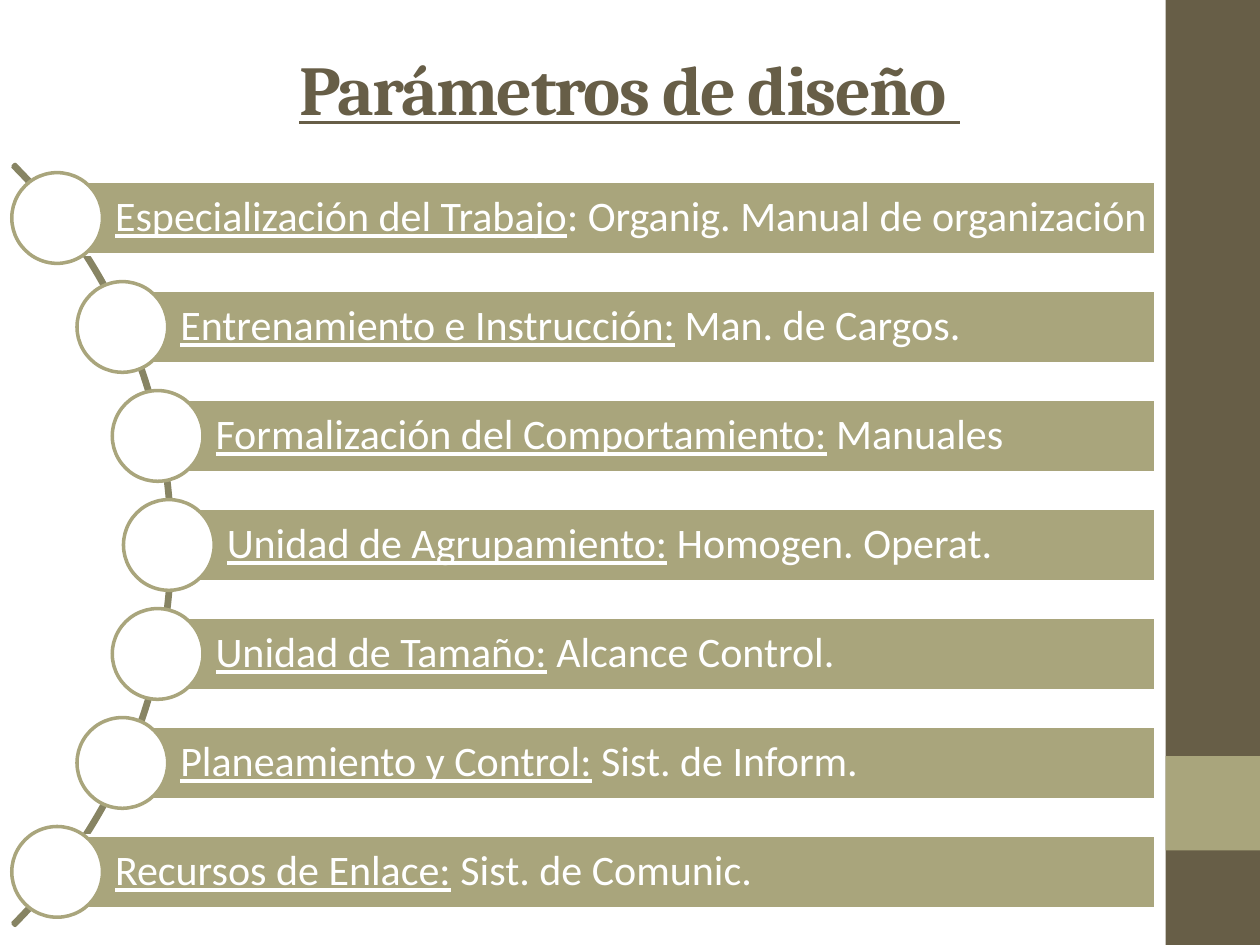
from math import sqrt

from pptx import Presentation
from pptx.dml.color import RGBColor
from pptx.enum import shapes, text
from pptx.util import Inches, Pt

DARK, SAGE, OLIVE, WHITE = "675E47", "A9A57C", "878463", "FFFFFF"
KIND = shapes.MSO_SHAPE
ITEMS = [
    ("Especialización del Trabajo", ": Organig. Manual de organización"),
    ("Entrenamiento e Instrucción:", " Man. de Cargos."),
    ("Formalización del Comportamiento:", " Manuales"),
    ("Unidad de Agrupamiento:", " Homogen. Operat."),
    ("Unidad de Tamaño:", " Alcance Control."),
    ("Planeamiento y Control:", " Sist. de Inform."),
    ("Recursos de Enlace:", " Sist. de Comunic."),
]


def color(code):
    return RGBColor.from_string(code)


def draw(slide, kind, x, y, w, h, fill=None, line=None):
    shape = slide.shapes.add_shape(kind, Inches(x), Inches(y), Inches(w), Inches(h))
    shape.shadow.inherit = False
    if fill:
        shape.fill.solid()
        shape.fill.fore_color.rgb = color(fill)
    else:
        shape.fill.background()
    if line:
        shape.line.color.rgb = color(line)
        shape.line.width = Pt(2)
    else:
        shape.line.fill.background()
    return shape


def write(para, words, size=24, font="Calibri", ink=WHITE, bold=False, under=False, gap=None):
    run = para.add_run()
    run.text = words
    face = run.font
    face.size, face.name, face.bold, face.underline = Pt(size), font, bold, under
    face.color.rgb = color(ink)
    if gap is not None:
        run._r.get_or_add_rPr().set("spc", str(gap))


def add_side(slide, x, y, w, h):
    draw(slide, KIND.RECTANGLE, x, y, w, h, DARK)
    draw(slide, KIND.RECTANGLE, x, y + 0.8 * h, w, w, SAGE)


def add_title(slide, x, y, w, h):
    title = slide.shapes.title
    title.left, title.top, title.width, title.height = map(Inches, (x, y, w, h))
    frame = title.text_frame
    frame.vertical_anchor = text.MSO_ANCHOR.MIDDLE
    para = frame.paragraphs[0]
    para.alignment = text.PP_ALIGN.CENTER
    write(para, "Parámetros de diseño ", size=40, font="Cambria", ink=DARK,
          bold=True, under=True, gap=-100)


def add_item(slide, x, y, right, name, rest):
    """Bar whose left edge is the centre (x, y) of its circle."""
    tall, dot = 0.58, 0.72
    bar = draw(slide, KIND.RECTANGLE, x, y - tall / 2, right - x, tall, SAGE, WHITE)
    frame = bar.text_frame
    frame.word_wrap = True
    frame.vertical_anchor = text.MSO_ANCHOR.MIDDLE
    frame.margin_left, frame.margin_right = Inches(0.46), Inches(0.05)
    frame.margin_top = frame.margin_bottom = Inches(0.07)
    para = frame.paragraphs[0]
    para.alignment = text.PP_ALIGN.LEFT
    para.line_spacing = 0.9
    write(para, name, under=True)
    write(para, rest)
    draw(slide, KIND.OVAL, x - dot / 2, y - dot / 2, dot, dot, WHITE, SAGE)


def add_list(slide, x, y, w, h):
    """Items at equal steps along an arc that bulges to the right."""
    mid, hub, size = y + h / 2, x - 2.98, 8.54
    arc = draw(slide, KIND.BLOCK_ARC, hub - size / 2, mid - size / 2, size, size, line=OLIVE)
    for i, value in enumerate((189, 27, 0.003)):
        arc.adjustments[i] = value
    radius, step = 4.24, 0.865
    for i, (name, rest) in enumerate(ITEMS):
        rise = (i - (len(ITEMS) - 1) / 2) * step
        add_item(slide, hub + sqrt(radius ** 2 - rise ** 2), mid + rise, x + w, name, rest)


def main():
    deck = Presentation()
    deck.slide_width, deck.slide_height = Inches(10), Inches(7.5)
    slide = deck.slides.add_slide(deck.slide_layouts[5])
    add_side(slide, 9.25, 0, 0.75, 7.5)
    add_title(slide, 0, 0, 10, 1.39)
    add_list(slide, 0.08, 1.37, 9.09, 5.91)
    deck.save("out.pptx")


if __name__ == "__main__":
    main()
